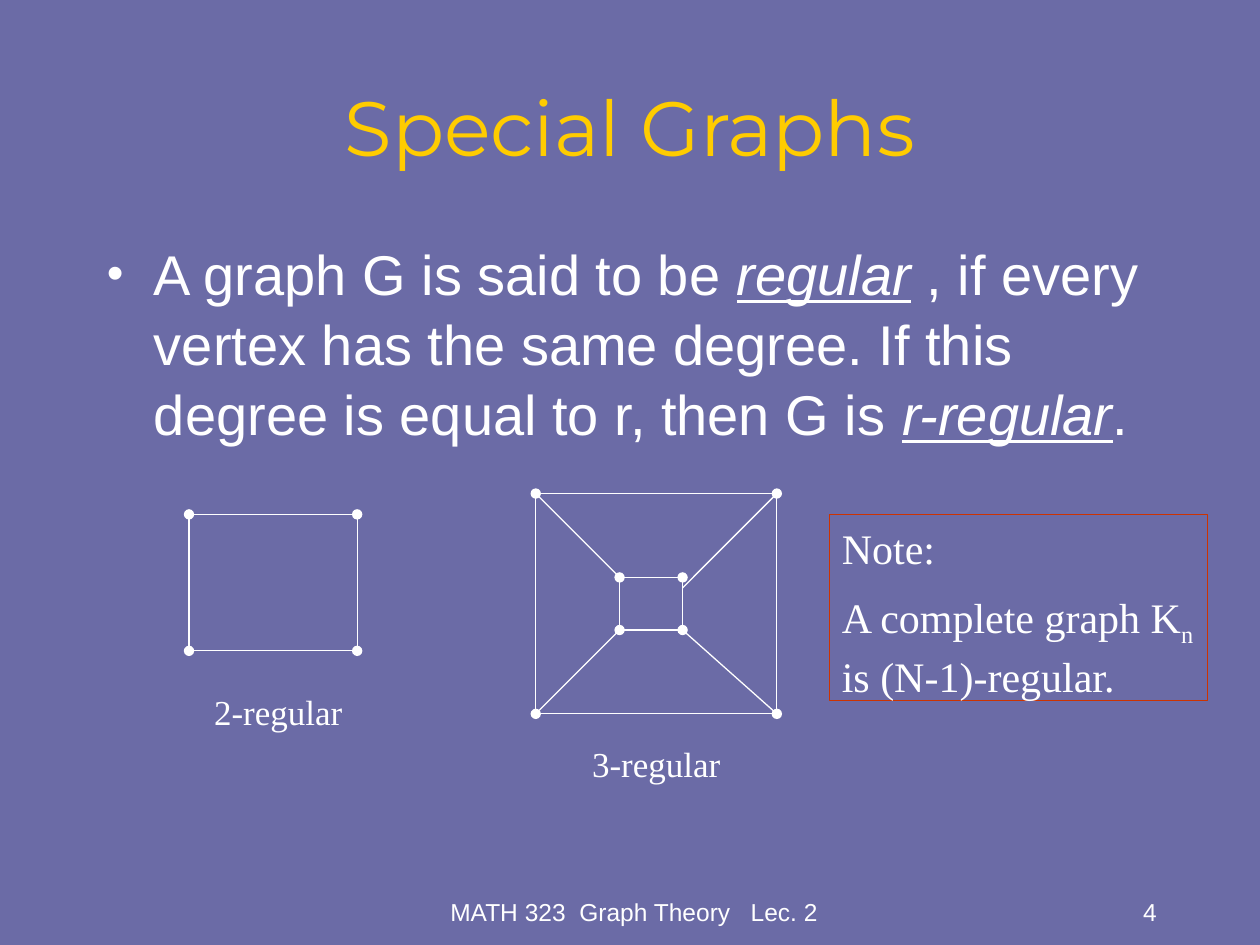
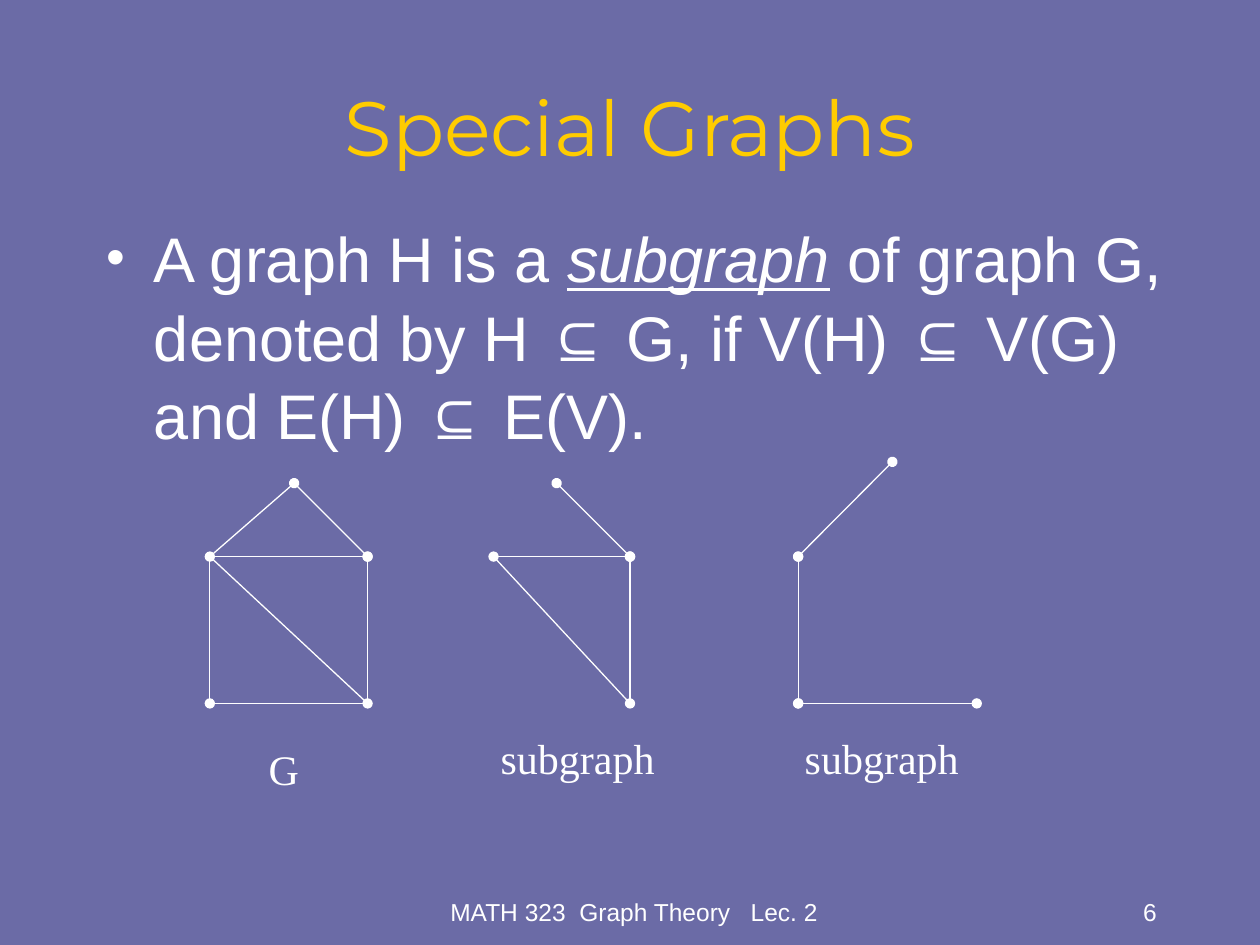
from lxml import etree
from pptx import Presentation
from pptx.dml.color import RGBColor
from pptx.enum.shapes import MSO_CONNECTOR, MSO_SHAPE
from pptx.enum.text import MSO_ANCHOR, MSO_AUTO_SIZE, PP_ALIGN
from pptx.oxml.ns import qn
from pptx.util import Cm, Pt

LEFT, CENTER, RIGHT = PP_ALIGN.LEFT, PP_ALIGN.CENTER, PP_ALIGN.RIGHT
TOP, MIDDLE, BOTTOM = MSO_ANCHOR.TOP, MSO_ANCHOR.MIDDLE, MSO_ANCHOR.BOTTOM
STRAIGHT, RECTANGLE, NO_FIT = MSO_CONNECTOR.STRAIGHT, MSO_SHAPE.RECTANGLE, MSO_AUTO_SIZE.NONE
SERIF, SANS, TITLE_FONT = "Times New Roman", "Arial", "Montserrat"
WHITE, YELLOW, RED, PURPLE = "FFFFFF", "FFCC00", "CC3300", "6B6BA6"
LINE_SPACING = 1.04


def rgb(value):
    return RGBColor.from_string(value)


def add_run(p, text, size, font, color=WHITE, emphasis=False, baseline=0):
    r = p.add_run()
    r.text = text
    r.font.size = Pt(size)
    r.font.name = font
    r.font.color.rgb = rgb(color)
    if emphasis:
        r.font.italic = True
        r.font.underline = True
    if baseline:
        r._r.get_or_add_rPr().set("baseline", str(baseline * 1000))


slides = [
    {
        "number": "4",
        "body_box": (1.9, 4.65, 21.6, 11.43),
        "body_size": 32,
        "body": [
            ("A graph G is said to be ", False),
            ("regular", True),
            (" , if every vertex has the same degree. If this degree is equal to r, then G is ", False),
            ("r-regular", True),
            (".", False),
        ],
        "squares": [
            (3.81, 10.37, 7.2, 13.12),
            (10.8, 9.95, 15.66, 14.39),
            (12.49, 11.64, 13.76, 12.7),
        ],
        "dotted_edges": [],
        "plain_edges": [
            (12.49, 12.7, 10.8, 14.39),
            (13.76, 12.7, 15.66, 14.39),
            (13.76, 11.85, 15.66, 9.95),
            (12.49, 11.64, 10.8, 9.95),
        ],
        "labels": [
            ("2-regular", 20, (3.81, 13.76, 3.6, 1.1)),
            ("3-regular", 20, (11.43, 14.82, 3.6, 1.1)),
        ],
    },
    {
        "number": "6",
        "body_box": (1.9, 4.24, 22.44, 10.16),
        "body_size": 36,
        "body": [
            ("A graph H is a ", False),
            ("subgraph", True),
            (" of graph G, denoted by H ⊆ G, if V(H) ⊆ V(G) and E(H) ⊆ E(V).", False),
        ],
        "squares": [(4.23, 11.22, 7.41, 14.18)],
        "dotted_edges": [
            (7.41, 11.22, 5.93, 9.74),
            (9.95, 11.22, 12.7, 11.22),
            (12.7, 11.22, 12.7, 14.18),
            (12.7, 11.22, 11.22, 9.74),
            (16.09, 11.22, 16.09, 14.18),
            (16.09, 14.18, 19.69, 14.18),
            (16.09, 11.22, 17.99, 9.31),
        ],
        "plain_edges": [
            (4.23, 11.22, 5.93, 9.74),
            (4.23, 11.22, 7.41, 14.18),
            (9.95, 11.22, 12.7, 14.18),
        ],
        "labels": [
            ("G", 24, (4.87, 14.82, 1.7, 1.27)),
            ("subgraph", 24, (9.53, 14.61, 4.23, 1.27)),
            ("subgraph", 24, (15.66, 14.61, 4.23, 1.27)),
        ],
    },
]

prs = Presentation()
prs.slide_width, prs.slide_height = Cm(25.4), Cm(19.05)
fill = prs.slide_master.background.fill
fill.solid()
fill.fore_color.rgb = rgb(PURPLE)

for content in slides:
    s = prs.slides.add_slide(prs.slide_layouts[1])

    title, body = s.shapes.title, s.placeholders[1]
    for sp, box in ((title, (1.9, 1.48, 21.6, 2.12)), (body, content["body_box"])):
        sp.left, sp.top, sp.width, sp.height = map(Cm, box)
        sp.text_frame.auto_size = NO_FIT
    title.text_frame.vertical_anchor = MIDDLE
    p = title.text_frame.paragraphs[0]
    p.alignment = CENTER
    add_run(p, "Special Graphs", 44, TITLE_FONT, YELLOW)

    p = body.text_frame.paragraphs[0]
    pPr = p._p.get_or_add_pPr()
    pPr.set("marL", str(Cm(0.95)))
    pPr.set("indent", str(Cm(-0.95)))
    clr = etree.SubElement(pPr, qn("a:buClr"))
    etree.SubElement(clr, qn("a:srgbClr"), val=WHITE)
    etree.SubElement(pPr, qn("a:buSzPct"), val="85000")
    etree.SubElement(pPr, qn("a:buChar"), char="•")
    p.space_before = Pt(0)
    p.line_spacing = LINE_SPACING
    for text, emphasis in content["body"]:
        add_run(p, text, content["body_size"], SANS, emphasis=emphasis)

    dotted = list(content["dotted_edges"])
    plain = list(content["plain_edges"])
    for x1, y1, x2, y2 in content["squares"]:
        plain += [(x1, y1, x2, y1), (x1, y2, x2, y2)]
        dotted += [(x1, y1, x1, y2), (x2, y2, x2, y1)]
    for edges, has_dots in ((plain, False), (dotted, True)):
        for edge in edges:
            line = s.shapes.add_connector(STRAIGHT, *map(Cm, edge))
            line.line.color.rgb = rgb(WHITE)
            line.line.width = Pt(0.75)
            spPr = line._element.spPr
            if has_dots:
                ln = spPr.find(qn("a:ln"))
                for end in ("a:headEnd", "a:tailEnd"):
                    etree.SubElement(ln, qn(end), type="oval", w="med", len="med")
            etree.SubElement(spPr, qn("a:effectLst"))

    boxes = [(text, size, SERIF, CENTER, TOP, box) for text, size, box in content["labels"]]
    boxes += [
        ("MATH 323  Graph Theory   Lec. 2", 14, SANS, CENTER, BOTTOM, (8.76, 17.53, 8.05, 1.27)),
        (content["number"], 14, SANS, RIGHT, BOTTOM, (18.29, 17.53, 5.28, 1.27)),
    ]
    for text, size, font, alignment, anchor, box in boxes:
        tf = s.shapes.add_textbox(*map(Cm, box)).text_frame
        tf.word_wrap = True
        tf.vertical_anchor = anchor
        p = tf.paragraphs[0]
        p.alignment = alignment
        p.line_spacing = LINE_SPACING
        add_run(p, text, size, font)

note = prs.slides[0].shapes.add_shape(RECTANGLE, Cm(16.72), Cm(10.37), Cm(7.62), Cm(3.76))
note.shadow.inherit = False
note.fill.background()
note.line.color.rgb = rgb(RED)
note.line.width = Pt(0.75)
tf = note.text_frame
tf.word_wrap = True
tf.vertical_anchor = TOP
p = tf.paragraphs[0]
add_run(p, "Note:", 24, SERIF)
p = tf.add_paragraph()
p.space_before = Pt(9)
for text, baseline in (("A complete graph K", 0), ("n", -25), (" is (N-1)-regular.", 0)):
    add_run(p, text, 24, SERIF, baseline=baseline)
for p in tf.paragraphs:
    p.alignment = LEFT
    p.line_spacing = LINE_SPACING

prs.save("out.pptx")
